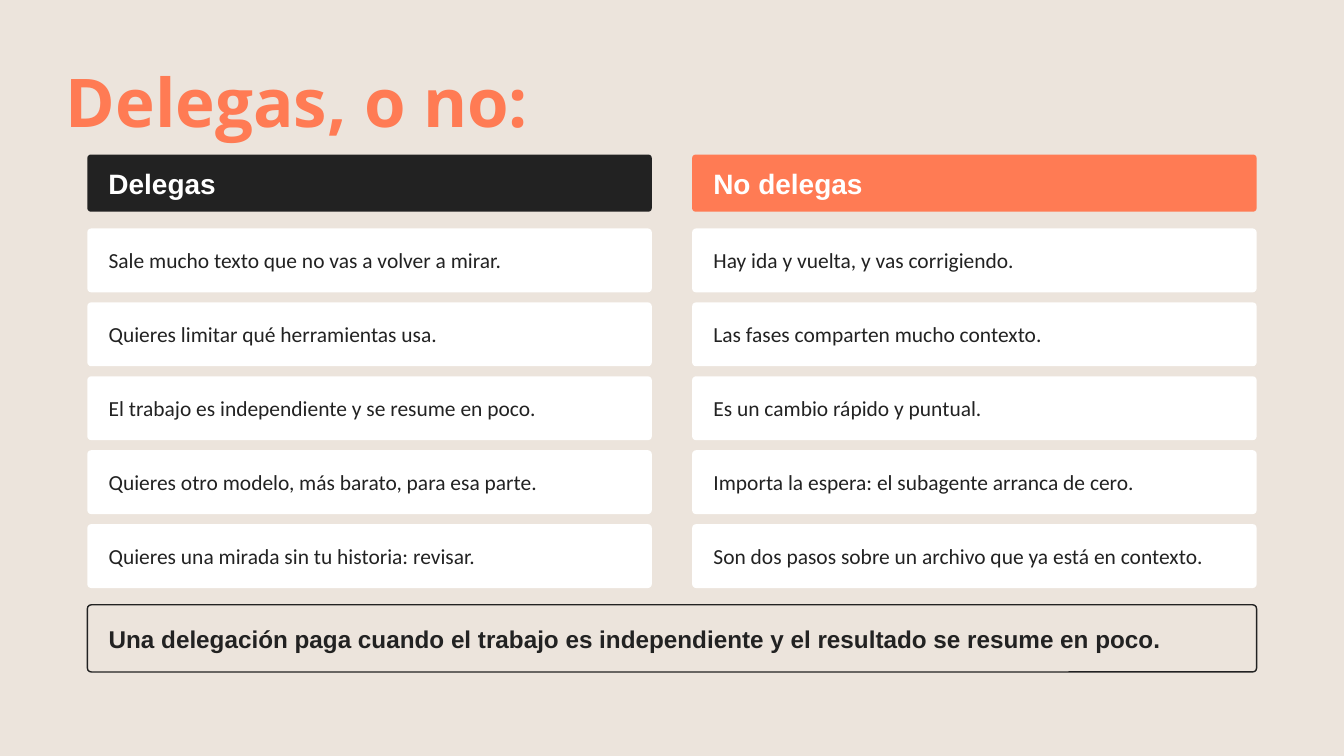
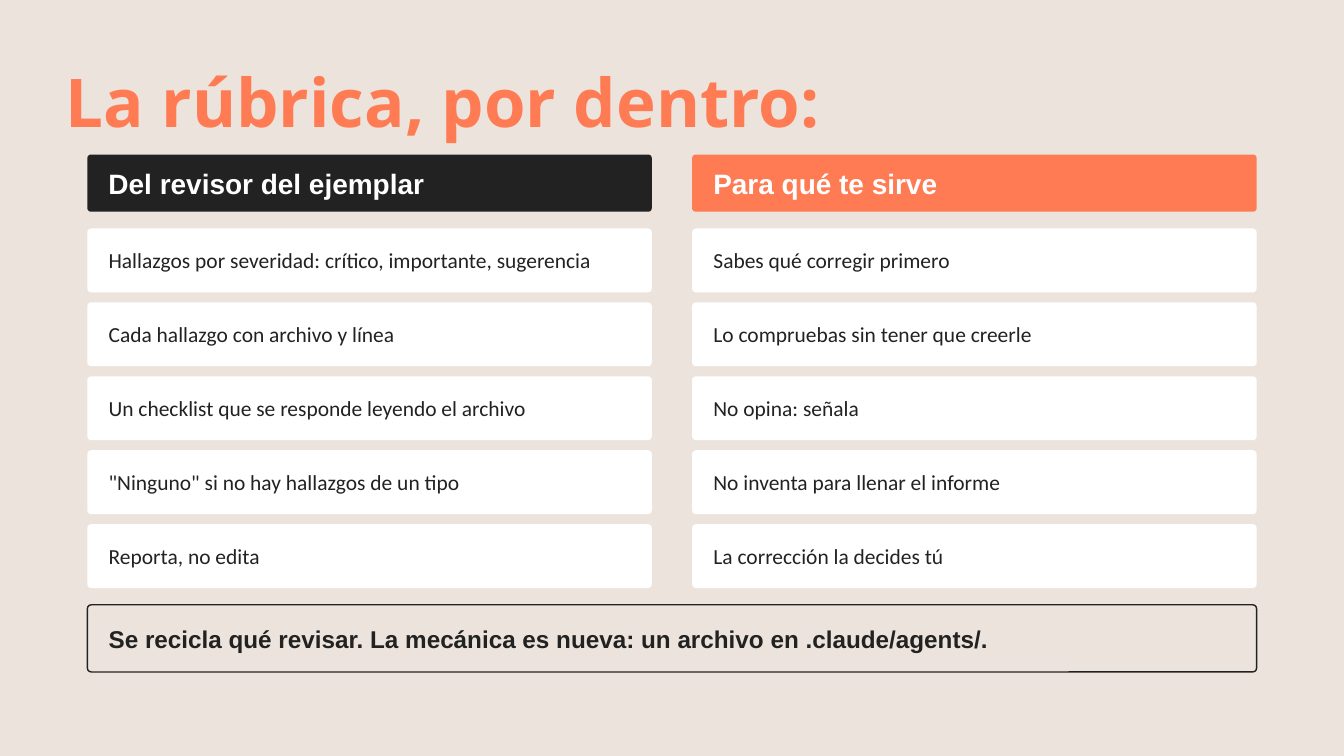
import pptx
import pptx.util
import pptx.dml.color
import pptx.enum.shapes
import pptx.enum.text

EMU_PER_PX = 9144
SAND, INK, CORAL, WHITE = "ECE4DC", "222222", "FF7B54", "FFFFFF"
COLUMN_LEFTS = (130, 1030)
HEADER_COLORS = (INK, CORAL)
COLUMN_WIDTH = 840
HEADER_TOP, HEADER_HEIGHT = 230, 85
CARD_TOP, CARD_HEIGHT, CARD_STEP = 340, 95, 110
CONCLUSION_TOP, CONCLUSION_HEIGHT = 900, 100
CONTENT_WIDTH = COLUMN_LEFTS[1] + COLUMN_WIDTH - COLUMN_LEFTS[0]

SLIDES = [
    {
        "title": "Delegas, o no:",
        "columns": [
            ("Delegas", [
                "Sale mucho texto que no vas a volver a mirar.",
                "Quieres limitar qué herramientas usa.",
                "El trabajo es independiente y se resume en poco.",
                "Quieres otro modelo, más barato, para esa parte.",
                "Quieres una mirada sin tu historia: revisar.",
            ]),
            ("No delegas", [
                "Hay ida y vuelta, y vas corrigiendo.",
                "Las fases comparten mucho contexto.",
                "Es un cambio rápido y puntual.",
                "Importa la espera: el subagente arranca de cero.",
                "Son dos pasos sobre un archivo que ya está en contexto.",
            ]),
        ],
        "conclusion": "Una delegación paga cuando el trabajo es independiente "
                      "y el resultado se resume en poco.",
    },
    {
        "title": "La rúbrica, por dentro:",
        "columns": [
            ("Del revisor del ejemplar", [
                "Hallazgos por severidad: crítico, importante, sugerencia",
                "Cada hallazgo con archivo y línea",
                "Un checklist que se responde leyendo el archivo",
                '"Ninguno" si no hay hallazgos de un tipo',
                "Reporta, no edita",
            ]),
            ("Para qué te sirve", [
                "Sabes qué corregir primero",
                "Lo compruebas sin tener que creerle",
                "No opina: señala",
                "No inventa para llenar el informe",
                "La corrección la decides tú",
            ]),
        ],
        "conclusion": "Se recicla qué revisar. La mecánica es nueva: "
                      "un archivo en .claude/agents/.",
    },
]


def px(length):
    return pptx.util.Emu(length * EMU_PER_PX)


def rgb(color):
    return pptx.dml.color.RGBColor.from_string(color)


def write_text(shape, text, *, font, size, color, bold=False, margins=(30, 10),
               anchor=pptx.enum.text.MSO_ANCHOR.MIDDLE, line_spacing=None):
    frame = shape.text_frame
    frame.word_wrap = True
    frame.vertical_anchor = anchor
    frame.margin_left = frame.margin_right = px(margins[0])
    frame.margin_top = frame.margin_bottom = px(margins[1])
    paragraph = frame.paragraphs[0]
    paragraph.alignment = pptx.enum.text.PP_ALIGN.LEFT
    if line_spacing:
        paragraph.line_spacing = pptx.util.Pt(line_spacing)
    run = paragraph.add_run()
    run.text = text
    run.font.name = font
    run.font.size = pptx.util.Pt(size)
    run.font.bold = bold
    run.font.color.rgb = rgb(color)


def add_title(slide, text):
    title = slide.shapes.title
    title.left, title.top, title.width, title.height = map(px, (98, 69, 1800, 134))
    write_text(title, text, font="Open Sans", size=72, color=CORAL, bold=True,
               margins=(0, 0), anchor=pptx.enum.text.MSO_ANCHOR.TOP,
               line_spacing=100.8)
    title.text_frame.auto_size = pptx.enum.text.MSO_AUTO_SIZE.SHAPE_TO_FIT_TEXT


def add_panel(slide, left, top, width, height, text, *, fill=None, line=None,
              **text_format):
    panel = slide.shapes.add_shape(
        pptx.enum.shapes.MSO_SHAPE.ROUNDED_RECTANGLE,
        *map(px, (left, top, width, height)))
    panel.adjustments[0] = 0.06
    panel.shadow.inherit = False
    if fill:
        panel.fill.solid()
        panel.fill.fore_color.rgb = rgb(fill)
    else:
        panel.fill.background()
    if line:
        panel.line.color.rgb = rgb(line)
        panel.line.width = pptx.util.Pt(1.5)
    else:
        panel.line.fill.background()
    write_text(panel, text, **text_format)


def add_column(slide, left, header, header_color, cards):
    add_panel(slide, left, HEADER_TOP, COLUMN_WIDTH, HEADER_HEIGHT, header,
              fill=header_color, font="Arial", size=30, color=WHITE, bold=True)
    for row, card in enumerate(cards):
        add_panel(slide, left, CARD_TOP + row * CARD_STEP, COLUMN_WIDTH,
                  CARD_HEIGHT, card, fill=WHITE, font="Calibri", size=23, color=INK)


def add_conclusion(slide, text):
    add_panel(slide, COLUMN_LEFTS[0], CONCLUSION_TOP, CONTENT_WIDTH,
              CONCLUSION_HEIGHT, text, line=INK, font="Arial", size=26,
              color=INK, bold=True)


def main():
    deck = pptx.Presentation()
    deck.slide_width, deck.slide_height = px(2000), px(1125)
    background = deck.slide_master.background.fill
    background.solid()
    background.fore_color.rgb = rgb(SAND)
    title_only = deck.slide_layouts.get_by_name("Title Only")
    for content in SLIDES:
        slide = deck.slides.add_slide(title_only)
        add_title(slide, content["title"])
        for left, color, (header, cards) in zip(
                COLUMN_LEFTS, HEADER_COLORS, content["columns"]):
            add_column(slide, left, header, color, cards)
        add_conclusion(slide, content["conclusion"])
    deck.save("out.pptx")


if __name__ == "__main__":
    main()
